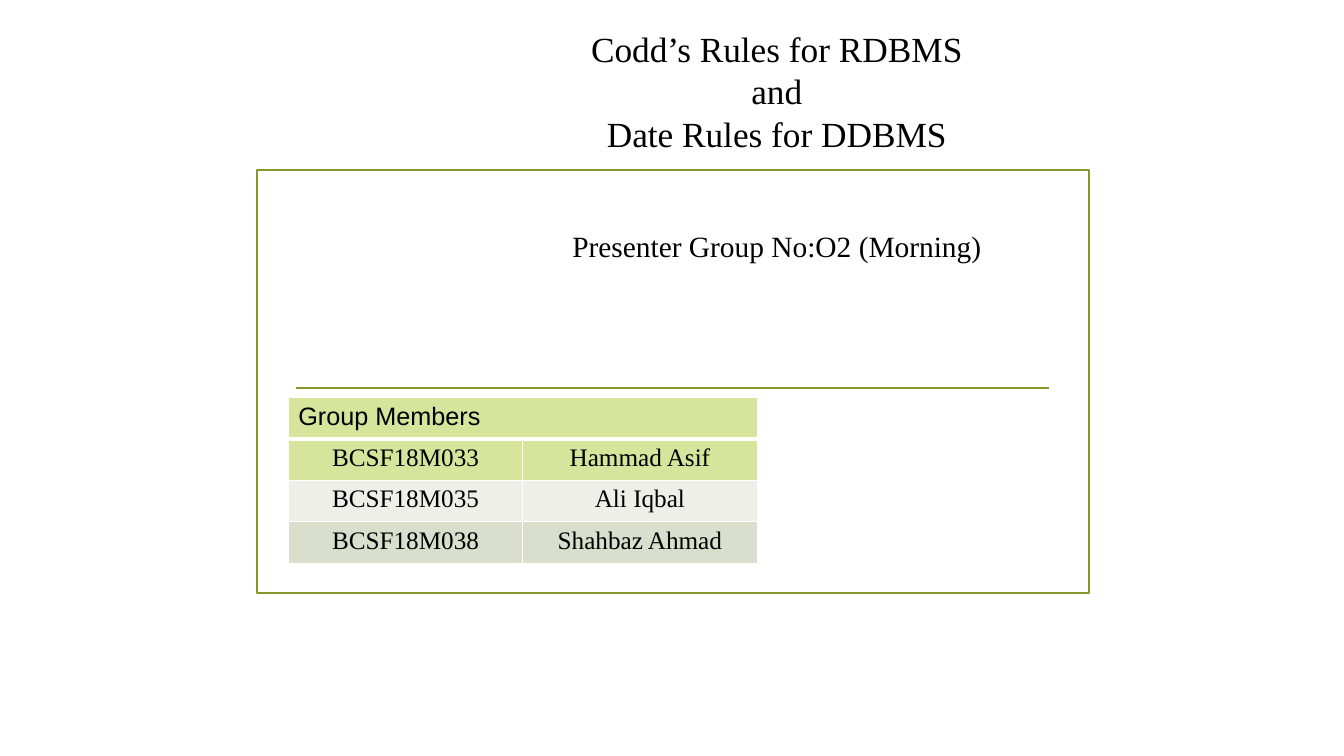
"""Build the title slide on Codd's and Date's rules with its group table."""
import pptx
import pptx.util
import pptx.dml.color
import pptx.enum.shapes
import pptx.enum.text
import pptx.oxml.ns
import lxml.etree

Inches, Pt = pptx.util.Inches, pptx.util.Pt
RGBColor = pptx.dml.color.RGBColor
PP_ALIGN, MSO_ANCHOR = pptx.enum.text.PP_ALIGN, pptx.enum.text.MSO_ANCHOR
qn = pptx.oxml.ns.qn

OLIVE = RGBColor(0x83, 0x99, 0x2A)
BLACK = RGBColor(0, 0, 0)
WHITE = RGBColor(255, 255, 255)
LIME = RGBColor(0xD6, 0xE4, 0x9C)
PALE = RGBColor(0xED, 0xEF, 0xE8)
SAGE = RGBColor(0xD9, 0xDE, 0xCD)
SERIF, SANS = "Times New Roman", "Arial"


def write(tf, text, size, font=SERIF, **paragraph_format):
    """Put one formatted paragraph into a text frame."""
    tf.text = text
    p = tf.paragraphs[0]
    for name, value in paragraph_format.items():
        setattr(p, name, value)
    for r in p.runs:
        for name, value in {"size": Pt(size), "name": font, "bold": False}.items():
            setattr(r.font, name, value)
        r.font.color.rgb = BLACK


def border(cell, side, width):
    """Draw one white edge of a table cell."""
    ln = lxml.etree.SubElement(cell._tc.get_or_add_tcPr(), qn("a:" + side), w=str(Pt(width)))
    fill = lxml.etree.SubElement(ln, qn("a:solidFill"))
    lxml.etree.SubElement(fill, qn("a:srgbClr"), val=str(WHITE))


prs = pptx.Presentation()
prs.slide_width, prs.slide_height = Inches(13.33), Inches(7.5)
s = prs.slides.add_slide(prs.slide_layouts[5])

frame = s.shapes.add_shape(pptx.enum.shapes.MSO_SHAPE.RECTANGLE,
                           Inches(2.55), Inches(1.69), Inches(8.25), Inches(4.19))
frame.shadow.inherit = False
frame.fill.background()
rule = s.shapes.add_connector(pptx.enum.shapes.MSO_CONNECTOR.STRAIGHT,
                              Inches(2.94), Inches(3.85), Inches(10.4), Inches(3.85))
lxml.etree.SubElement(rule._element.spPr, qn("a:effectLst"))
for sp in (frame, rule):
    sp.line.color.rgb = OLIVE
    sp.line.width = Pt(1.25)

title = s.shapes.title
subtitle = s.shapes.add_textbox(0, 0, 0, 0)
for sp, top, height, anchor in ((title, 0.13, 1.45, MSO_ANCHOR.BOTTOM),
                                (subtitle, 2.21, 5.06, MSO_ANCHOR.TOP)):
    sp.left, sp.width = Inches(2.83), Inches(9.75)
    sp.top, sp.height = Inches(top), Inches(height)
    for name, value in {"word_wrap": True, "vertical_anchor": anchor,
                        "auto_size": pptx.enum.text.MSO_AUTO_SIZE.NONE}.items():
        setattr(sp.text_frame, name, value)
write(title.text_frame, "Codd’s Rules for RDBMS\vand\vDate Rules for DDBMS", 25.2,
      alignment=PP_ALIGN.CENTER)
write(subtitle.text_frame, "Presenter Group No:O2 (Morning)", 21,
      alignment=PP_ALIGN.CENTER, space_before=Pt(4.2), space_after=Pt(6))

rows = [
    ("Group Members", "", LIME),
    ("BCSF18M033", "Hammad Asif", LIME),
    ("BCSF18M035", "Ali Iqbal", PALE),
    ("BCSF18M038", "Shahbaz Ahmad", SAGE),
]
table = s.shapes.add_table(len(rows), 2, Inches(2.86), Inches(3.94),
                           Inches(4.65), Inches(1.65)).table
table.cell(0, 0).merge(table.cell(0, 1))
for i, (roll_number, member, colour) in enumerate(rows):
    header = i == 0
    for j, text in enumerate((roll_number, member)):
        cell = table.cell(i, j)
        if text:
            write(cell.text_frame, text, 18, SANS if header else SERIF,
                  alignment=PP_ALIGN.LEFT if header else PP_ALIGN.CENTER)
        for side in ("lnL", "lnR", "lnT", "lnB"):
            heavy = (i, side) in ((0, "lnB"), (1, "lnT"))
            border(cell, side, 3 if heavy else 1)
        cell.fill.solid()
        cell.fill.fore_color.rgb = colour

prs.save("out.pptx")
